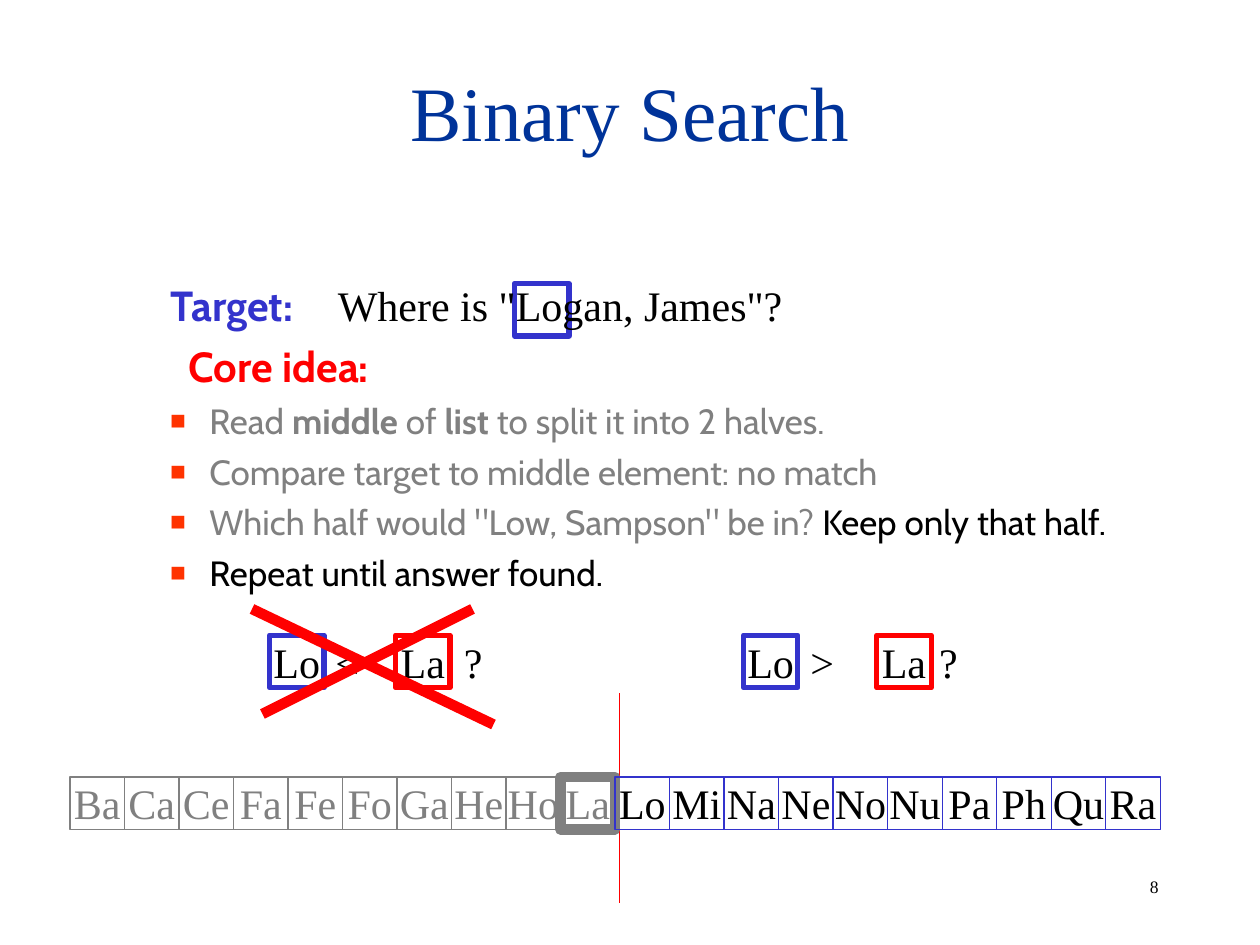
import pptx
import pptx.util
import pptx.dml.color
import pptx.enum.shapes
import pptx.enum.text
import pptx.oxml
import pptx.oxml.ns
import lxml.etree

Pt = pptx.util.Pt
SERIF, SANS = "Times New Roman", "Cabin"
BLACK, GRAY, BLUE, RED = "000000", "808080", "3333CC", "FF0000"
NAVY, ORANGE, WHITE = "003399", "FF3300", "FFFFFF"

TITLE = "Binary Search"
HEADINGS = [("Target:", BLUE, 36), ("Core idea:", RED, 46.5)]
BULLETS = [
    [("Read ", GRAY, False), ("middle", GRAY, True), (" of ", GRAY, False),
     ("list", GRAY, True), (" to split it into 2 halves.", GRAY, False)],
    [("Compare target to middle element: no match", GRAY, False)],
    [('Which half would "Low, Sampson" be in?', GRAY, False),
     (" Keep only that half.", BLACK, False)],
    [("Repeat until answer found.", BLACK, False)],
]
DISCARDED = ["Ba", "Ca", "Ce", "Fa", "Fe", "Fo", "Ga", "He", "Ho"]
MIDDLE = "La"
KEPT = ["Lo", "Mi", "Na", "Ne", "No", "Nu", "Pa", "Ph", "Qu", "Ra"]
COMPARISONS = [("<\t?", 154, 226, 184.5), (">\t?", 424.8, 501, 456)]
CROSS = [(144, 348, 282, 414), (150, 408, 270, 348)]
LABELS = [('Where is "Logan, James"?', 186, 156, 274, 36, 24),
          ("8", 650, 496.8, 56, 19.5, 10)]

CELL_WIDTH, CELL_HEIGHT = 31.15, 30
LIST_LEFT, LIST_TOP = 40, 444
COMPARISON_TOP = 363
TEXT_MARGIN, BULLET_INDENT = 58.5, -22.5


def color(value):
    return pptx.dml.color.RGBColor.from_string(value)


def add_run(paragraph, text, size, font_name, font_color, bold=False):
    run = paragraph.add_run()
    run.text = text
    run.font.size = Pt(size)
    run.font.name = font_name
    run.font.bold = bold
    run.font.color.rgb = color(font_color)


def add_element(parent, tag, **attributes):
    element = lxml.etree.SubElement(parent, pptx.oxml.ns.qn(tag))
    for name, value in attributes.items():
        element.set(name, value)
    return element


def set_bullet(paragraph, character):
    properties = paragraph._p.get_or_add_pPr()
    properties.set("marL", str(Pt(TEXT_MARGIN)))
    properties.set("indent", str(Pt(BULLET_INDENT)))
    bullet_color = add_element(properties, "a:buClr")
    add_element(bullet_color, "a:srgbClr", val=ORANGE)
    add_element(properties, "a:buSzPct", val="75000")
    add_element(properties, "a:buFont", typeface="Arial")
    add_element(properties, "a:buChar", char=character)


def set_heading_indent(paragraph, start):
    properties = paragraph._p.get_or_add_pPr()
    properties.set("marL", str(Pt(TEXT_MARGIN)))
    properties.set("indent", str(Pt(start - TEXT_MARGIN)))
    add_element(properties, "a:buNone")


def place(shape, left, top, width, height):
    shape.left, shape.top = Pt(left), Pt(top)
    shape.width, shape.height = Pt(width), Pt(height)


def add_box(slide, text, left, top, line_color, line_width,
            font_color=BLACK, fill=None):
    shape = slide.shapes.add_shape(
        pptx.enum.shapes.MSO_SHAPE.RECTANGLE,
        Pt(left), Pt(top), Pt(CELL_WIDTH), Pt(CELL_HEIGHT))
    shape.shadow.inherit = False
    if fill:
        shape.fill.solid()
        shape.fill.fore_color.rgb = color(fill)
    else:
        shape.fill.background()
    shape.line.color.rgb = color(line_color)
    shape.line.width = Pt(line_width)
    if text:
        frame = shape.text_frame
        frame.word_wrap = False
        frame.vertical_anchor = pptx.enum.text.MSO_ANCHOR.MIDDLE
        paragraph = frame.paragraphs[0]
        paragraph.alignment = pptx.enum.text.PP_ALIGN.CENTER
        add_run(paragraph, text, 24, SERIF, font_color)


def add_line(slide, x1, y1, x2, y2, width):
    line = slide.shapes.add_connector(
        pptx.enum.shapes.MSO_CONNECTOR.STRAIGHT, Pt(x1), Pt(y1), Pt(x2), Pt(y2))
    line.line.color.rgb = color(RED)
    line.line.width = Pt(width)
    add_element(line._element.spPr, "a:effectLst")


def add_label(slide, text, left, top, width, height, size, tab=None):
    box = slide.shapes.add_textbox(Pt(left), Pt(top), Pt(width), Pt(height))
    box.text_frame.word_wrap = True
    paragraph = box.text_frame.paragraphs[0]
    if tab:
        tabs = add_element(paragraph._p.get_or_add_pPr(), "a:tabLst")
        add_element(tabs, "a:tab", pos=str(Pt(tab)), algn="l")
    add_run(paragraph, text, size, SERIF, BLACK)


def fill_title(title):
    place(title, 54, 18, 612, 90)
    title.text_frame.vertical_anchor = pptx.enum.text.MSO_ANCHOR.MIDDLE
    paragraph = title.text_frame.paragraphs[0]
    paragraph.alignment = pptx.enum.text.PP_ALIGN.CENTER
    add_run(paragraph, TITLE, 44, SERIF, NAVY)


def fill_body(body):
    place(body, 54, 156, 630, 324)
    frame = body.text_frame
    frame.auto_size = pptx.enum.text.MSO_AUTO_SIZE.NONE
    for index, (text, font_color, start) in enumerate(HEADINGS):
        paragraph = frame.add_paragraph() if index else frame.paragraphs[0]
        paragraph.level = 1
        set_heading_indent(paragraph, start)
        paragraph.space_before = Pt(6 if index else 0)
        add_run(paragraph, text, 24, SANS, font_color, True)
    for runs in BULLETS:
        paragraph = frame.add_paragraph()
        paragraph.level = 1
        set_bullet(paragraph, "■")
        paragraph.space_before = Pt(5)
        for text, font_color, bold in runs:
            add_run(paragraph, text, 20, SANS, font_color, bold)


def main():
    presentation = pptx.Presentation()
    presentation.slide_width, presentation.slide_height = Pt(720), Pt(540)
    slide = presentation.slides.add_slide(presentation.slide_layouts[1])
    fill_title(slide.shapes.title)
    fill_body(slide.placeholders[1])

    add_line(slide, 354, 516, 354, 396, 0.75)
    cells = [(name, GRAY, 0.75, GRAY, None) for name in DISCARDED]
    cells.append((MIDDLE, GRAY, 6, GRAY, WHITE))
    cells += [(name, BLUE, 0.75, BLACK, None) for name in KEPT]
    for index, (name, *style) in enumerate(cells):
        add_box(slide, name, LIST_LEFT + index * CELL_WIDTH, LIST_TOP, *style)

    add_box(slide, "", 294, 162, BLUE, 3)
    for text, target_left, middle_left, label_left in COMPARISONS:
        add_box(slide, "Lo", target_left, COMPARISON_TOP, BLUE, 3)
        add_box(slide, "La", middle_left, COMPARISON_TOP, RED, 3)
        add_label(slide, text, label_left, 360, 104, 36, 24, tab=73.5)
    for ends in CROSS:
        add_line(slide, *ends, 6)
    for label in LABELS:
        add_label(slide, *label)
    presentation.save("out.pptx")


if __name__ == "__main__":
    main()
